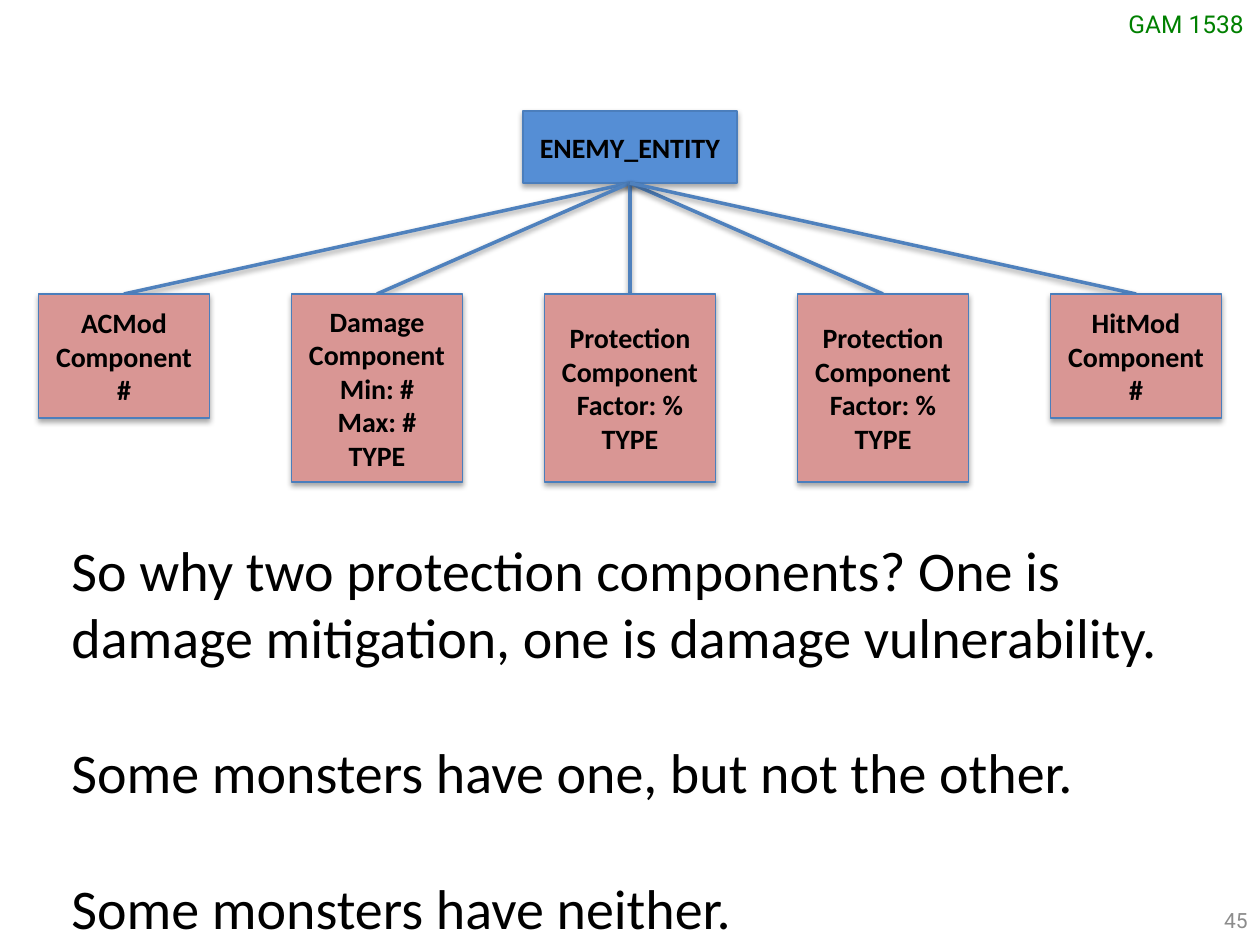
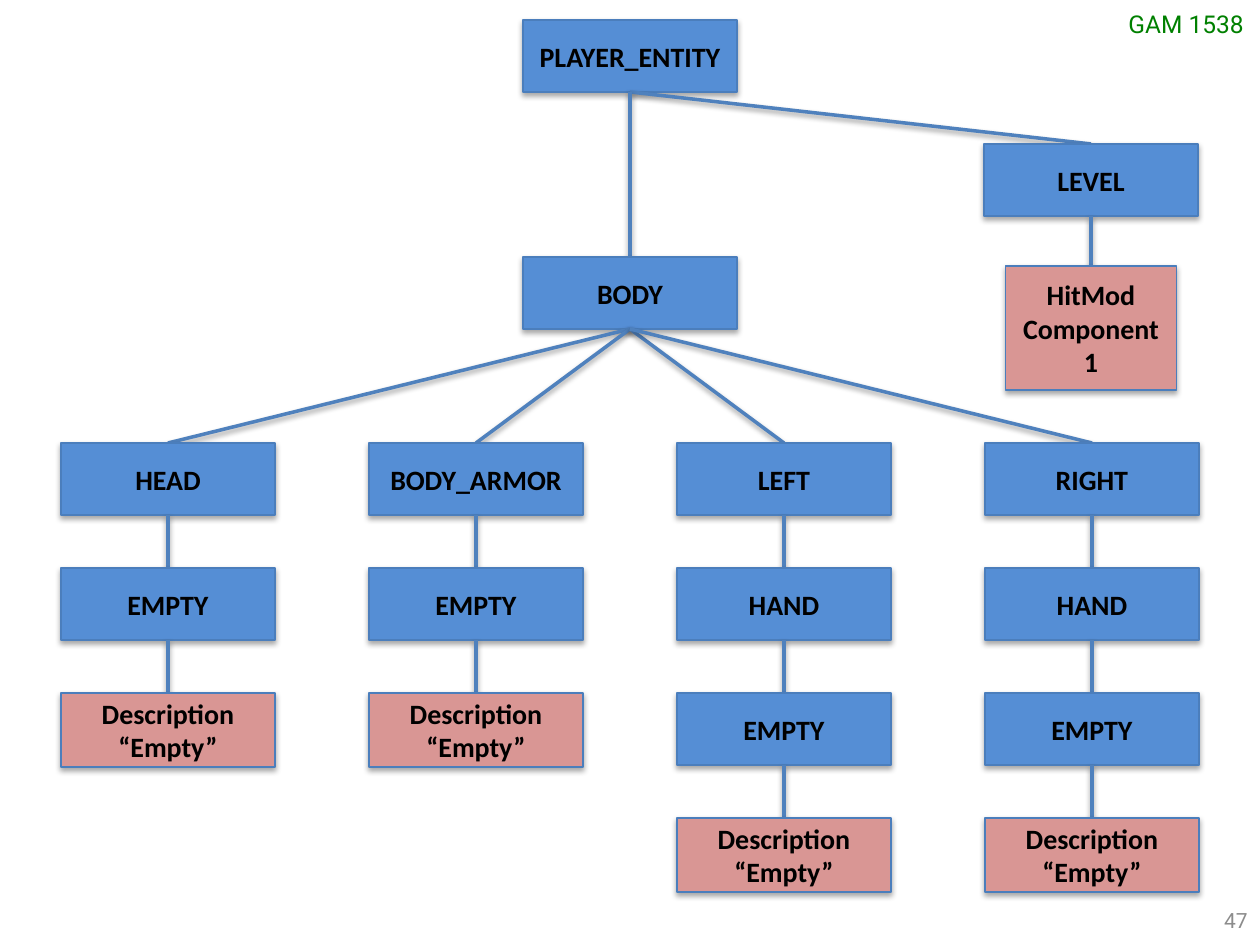
from lxml import etree
from pptx import Presentation
from pptx import util as u
from pptx.dml.color import RGBColor
from pptx.enum import shapes, text
from pptx.oxml import ns

SCALE = 914400 / 126
BLUE = RGBColor(0x55, 0x8E, 0xD5)
PINK = RGBColor(0xD9, 0x96, 0x94)
EDGE = RGBColor(0x4B, 0x7E, 0xBC)
LINK = RGBColor(0x4F, 0x81, 0xBD)
GREEN = RGBColor(0x00, 0x80, 0x00)
GREY = RGBColor(0x8C, 0x8C, 0x8C)
BLACK = RGBColor(0, 0, 0)

ENTITY = (214, 72, BLUE)
DESCRIPTION = (214, 74, PINK)
SHORT = (171, 124, PINK)
TALL = (171, 188, PINK)
EMPTY_TEXT = ["Description", "“Empty”"]
PROTECTION = ["Protection", "Component", "Factor: %", "TYPE"]


def cast_shadow(shape, distance, opacity):
    effects = etree.SubElement(shape._element.spPr, ns.qn("a:effectLst"))
    shadow = etree.SubElement(effects, ns.qn("a:outerShdw"), blurRad="40000",
                              dist=str(distance), dir="5400000", rotWithShape="0")
    colour = etree.SubElement(shadow, ns.qn("a:srgbClr"), val="000000")
    etree.SubElement(colour, ns.qn("a:alpha"), val=str(opacity * 1000))


def add_node(page, centre, top, kind, lines, parent=None):
    width, height, colour = kind
    if parent:
        ends = [u.Emu(round(v * SCALE)) for v in (*parent, centre, top)]
        link = page.shapes.add_connector(shapes.MSO_CONNECTOR.STRAIGHT, *ends)
        link.line.color.rgb = LINK
        link.line.width = u.Pt(2)
        cast_shadow(link, 20000, 38)
    area = [u.Emu(round(v * SCALE)) for v in (centre - width / 2, top, width, height)]
    node = page.shapes.add_shape(shapes.MSO_SHAPE.RECTANGLE, *area)
    node.fill.solid()
    node.fill.fore_color.rgb = colour
    node.line.color.rgb = EDGE
    node.line.width = u.Pt(0.75)
    cast_shadow(node, 23000, 35)
    frame = node.text_frame
    frame.vertical_anchor = text.MSO_ANCHOR.MIDDLE
    for index, line in enumerate(lines):
        para = frame.add_paragraph() if index else frame.paragraphs[0]
        para.alignment = text.PP_ALIGN.CENTER
        for part, words in enumerate(line.split("\n")):
            if part:
                para.add_line_break()
            span = para.add_run()
            span.text = words
            span.font.size = u.Pt(16)
            span.font.bold = True
            span.font.name = "Calibri"
            span.font.color.rgb = BLACK
    return centre, top + height


deck = Presentation()
deck.slide_width = u.Inches(10)
deck.slide_height = u.Inches(7.5)
enemy_page, player_page = [deck.slides.add_slide(deck.slide_layouts[6]) for _ in range(2)]

enemy = add_node(enemy_page, 630, 111, ENTITY, ["ENEMY_ENTITY"])
components = [
    (SHORT, ["ACMod", "Component", "#"]),
    (TALL, ["Damage", "Component", "Min: #\nMax: #", "TYPE"]),
    (TALL, PROTECTION),
    (TALL, PROTECTION),
    (SHORT, ["HitMod\nComponent", "#"]),
]
for column, (kind, lines) in enumerate(components):
    add_node(enemy_page, 124 + 253 * column, 294, kind, lines, enemy)

player = add_node(player_page, 630, 20, ENTITY, ["PLAYER_ENTITY"])
level = add_node(player_page, 1091, 144, ENTITY, ["LEVEL"], player)
add_node(player_page, 1091, 266, SHORT, ["HitMod\nComponent", "1"], level)
body = add_node(player_page, 630, 257, ENTITY, ["BODY"], player)
slots = [
    ["HEAD", "EMPTY"],
    ["BODY_ARMOR", "EMPTY"],
    ["LEFT", "HAND", "EMPTY"],
    ["RIGHT", "HAND", "EMPTY"],
]
for column, names in enumerate(slots):
    centre = 168 + 308 * column
    parent = body
    for row, name in enumerate(names):
        parent = add_node(player_page, centre, 443 + 125 * row, ENTITY, [name], parent)
    add_node(player_page, centre, 443 + 125 * len(names), DESCRIPTION, EMPTY_TEXT, parent)

questions = [
    "So why two protection components? One is damage mitigation, one is damage vulnerability.",
    "Some monsters have one, but not the other.",
    "Some monsters have neither.",
]
LEFT, RIGHT = text.PP_ALIGN.LEFT, text.PP_ALIGN.RIGHT
TOP, MIDDLE = text.MSO_ANCHOR.TOP, text.MSO_ANCHOR.MIDDLE
captions = [(enemy_page, (59, 529, 1140, 420), questions, "Calibri", 32, BLACK, LEFT, TOP, True)]
for page, number in ((enemy_page, "45"), (player_page, "47")):
    captions += [
        (page, (1116, 3, 144, 43), ["GAM 1538"], "Roboto", 14, GREEN, LEFT, TOP, False),
        (page, (966, 895, 294, 50), [number], "Roboto", 12, GREY, RIGHT, MIDDLE, True),
    ]
for page, area, lines, font, size, colour, alignment, anchor, wrap in captions:
    box = page.shapes.add_textbox(*[u.Emu(round(v * SCALE)) for v in area])
    frame = box.text_frame
    frame.word_wrap = wrap
    frame.vertical_anchor = anchor
    for index, line in enumerate(lines):
        para = frame.add_paragraph() if index else frame.paragraphs[0]
        para.alignment = alignment
        if index:
            para.space_before = u.Pt(39)
        span = para.add_run()
        span.text = line
        span.font.name = font
        span.font.size = u.Pt(size)
        span.font.color.rgb = colour

deck.save("out.pptx")
